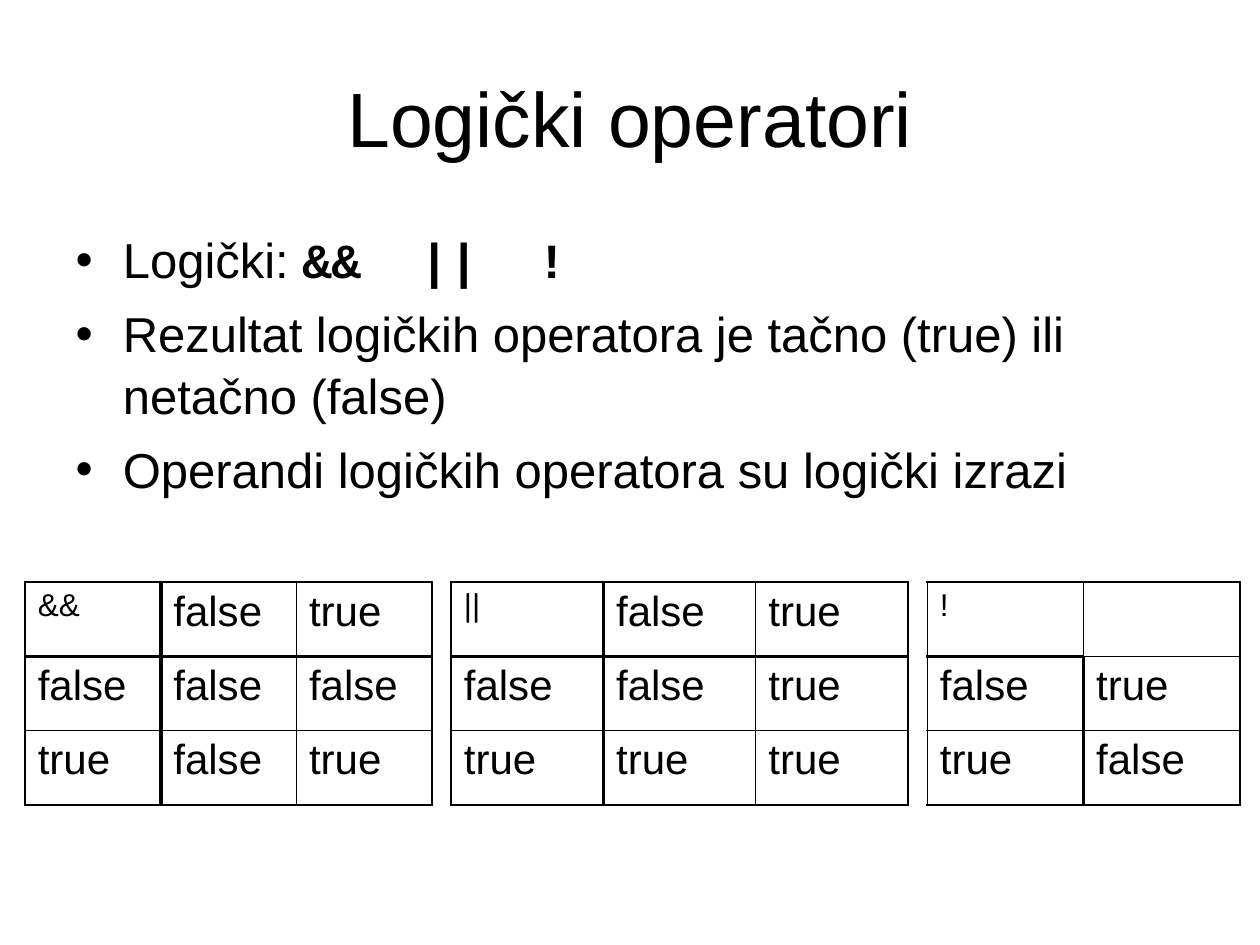
import pptx
import pptx.dml.color
import pptx.enum.text
import pptx.oxml
import pptx.oxml.ns
import pptx.util
from dataclasses import dataclass

Pt = pptx.util.Pt
ANCHOR = pptx.enum.text.MSO_ANCHOR
ALIGN = pptx.enum.text.PP_ALIGN
AUTO = pptx.enum.text.MSO_AUTO_SIZE


@dataclass(frozen=True)
class Theme:
    ink: str = "000000"
    font: str = "Arial"
    code_font: str = "Courier New"
    title: int = 44
    body: int = 28
    operator: int = 18
    value: int = 24
    thin: float = 0.45
    frame: float = 1.08
    thick: float = 2.21


THEME = Theme()


def set_attrs(obj, **values):
    for name, value in values.items():
        setattr(obj, name, value)


def add_run(p, text, size, **fmt):
    r = p.add_run()
    r.text = text
    values = {"name": THEME.font, "size": Pt(size), "bold": False, **fmt}
    set_attrs(r.font, **values)
    r.font.color.rgb = pptx.dml.color.RGBColor.from_string(THEME.ink)


def place(sp, left, top, width, height):
    set_attrs(sp, left=Pt(left), top=Pt(top), width=Pt(width), height=Pt(height))


def fill_title(sp, text):
    place(sp, 36, 21.6, 648, 90)
    tf = sp.text_frame
    set_attrs(tf, vertical_anchor=ANCHOR.MIDDLE, auto_size=AUTO.NONE)
    p = tf.paragraphs[0]
    p.alignment = ALIGN.CENTER
    add_run(p, text, THEME.title)


def fill_list(sp, items):
    """Each item is a list of (text, format) runs."""
    place(sp, 36, 126, 624, 201)
    tf = sp.text_frame
    tf.auto_size = AUTO.NONE
    for i, runs in enumerate(items):
        p = tf.add_paragraph() if i else tf.paragraphs[0]
        set_attrs(p, space_before=Pt(7), line_spacing=1.05)
        for text, fmt in runs:
            add_run(p, text, THEME.body, **fmt)


def set_borders(cell, widths):
    tc_pr = cell._tc.get_or_add_tcPr()
    ns = pptx.oxml.ns.nsdecls("a")
    for side, width in zip("LRTB", widths):
        tc_pr.append(pptx.oxml.parse_xml(
            f'<a:ln{side} {ns} w="{int(Pt(width))}"><a:solidFill>'
            f'<a:srgbClr val="{THEME.ink}"/></a:solidFill></a:ln{side}>'))


def line_width(index, count, separates):
    """Width of grid line `index`: frame outside, thick beside the headings."""
    if index in (0, count):
        return THEME.frame
    return THEME.thick if index == 1 and separates else THEME.thin


def add_truth_table(s, left, top, col_width, row_height, rows):
    n_rows, n_cols = len(rows), len(rows[0])
    width = n_cols * col_width
    table = s.shapes.add_table(n_rows, n_cols, Pt(left), Pt(top), Pt(width),
                               Pt(n_rows * row_height)).table
    set_attrs(table, first_row=False, horz_banding=False)
    for col in table.columns:
        col.width = Pt(col_width)
    binary = n_cols > 2
    for i, row in enumerate(rows):
        table.rows[i].height = Pt(row_height)
        for j, text in enumerate(row):
            cell = table.cell(i, j)
            # A unary operator has no heading above its result column
            beside = binary or i > 0
            below = binary or j == 0
            set_borders(cell, [line_width(j, n_cols, beside),
                               line_width(j + 1, n_cols, beside),
                               line_width(i, n_rows, below),
                               line_width(i + 1, n_rows, below)])
            cell.fill.background()
            if text:
                corner = i == j == 0
                p = cell.text_frame.paragraphs[0]
                p.space_before = Pt(4.5 if corner else 6)
                add_run(p, text, THEME.operator if corner else THEME.value)
    return left + width


def main():
    prs = pptx.Presentation()
    set_attrs(prs, slide_width=Pt(720), slide_height=Pt(540))
    s = prs.slides.add_slide(prs.slide_layouts[1])

    # Title and list
    fill_title(s.shapes.title, "Logički operatori")
    code = {"name": THEME.code_font, "bold": True}
    fill_list(s.placeholders[1], [
        [("Logički: ", {}), ("&&  ||  !", code)],
        [("Rezultat logičkih operatora je tačno (true) ili netačno (false)", {})],
        [("Operandi logičkih operatora su logički izrazi", {})],
    ])

    # Truth tables, side by side with equal gaps
    f, t = "false", "true"
    tables = [
        (77.5, [["&&", f, t], [f, f, f], [t, f, t]]),
        (87, [["||", f, t], [f, f, t], [t, t, t]]),
        (89.3, [["!", ""], [f, t], [t, f]]),
    ]
    left, gap = 14.4, 11
    for col_width, rows in tables:
        left = add_truth_table(s, left, 332.5, col_width, 42.5, rows) + gap

    prs.save("out.pptx")


if __name__ == "__main__":
    main()
